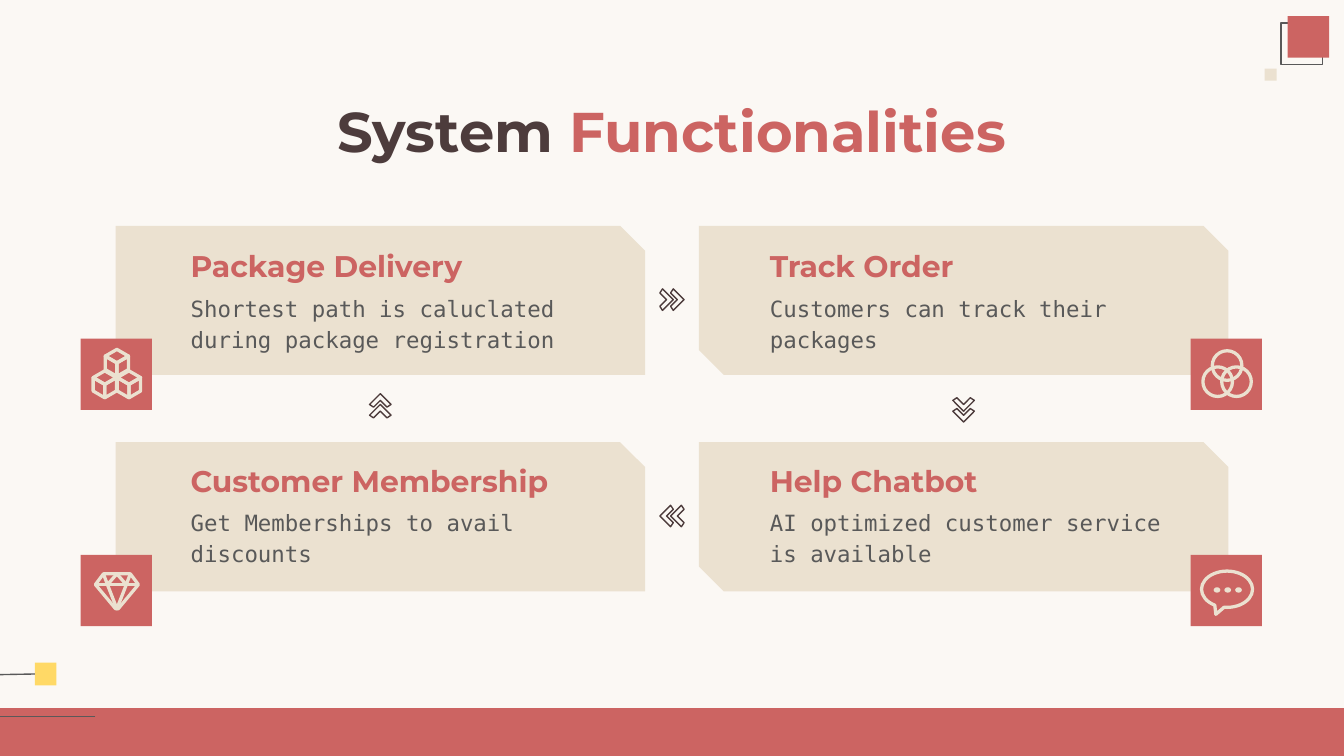
import math

from lxml import etree
from pptx import Presentation
from pptx.dml.color import RGBColor
from pptx.enum.shapes import MSO_CONNECTOR, MSO_SHAPE
from pptx.enum.text import MSO_ANCHOR, PP_ALIGN
from pptx.oxml.ns import qn
from pptx.util import Inches, Pt

RECT, OVAL = MSO_SHAPE.RECTANGLE, MSO_SHAPE.OVAL
SNIPPED, CALLOUT = MSO_SHAPE.SNIP_2_DIAG_RECTANGLE, MSO_SHAPE.OVAL_CALLOUT
STRAIGHT = MSO_CONNECTOR.STRAIGHT
TOP, MIDDLE, BOTTOM = MSO_ANCHOR.TOP, MSO_ANCHOR.MIDDLE, MSO_ANCHOR.BOTTOM
LEFT, CENTER = PP_ALIGN.LEFT, PP_ALIGN.CENTER

WIDTH, HEIGHT = 10, 5.625
CREAM, SAND, RED, BROWN, GRAY, YELLOW = (
    "FBF8F4", "EBE1D0", "CC6462", "4D3C3C", "595959", "FFD966")
HEADING_FONT, BODY_FONT = "Montserrat", "DejaVu Sans Mono"

CARD_LEFTS, CARD_TOPS = (0.86, 5.2), (1.68, 3.29)
CARD_WIDTH, CARD_HEIGHT = 3.94, 1.11
BADGE_LEFTS, BADGE_SIZE, BADGE_DROP = (0.6, 8.86), 0.53, 0.84
TEXT_LEFTS, BODY_WIDTHS = (1.32, 5.63), (3.48, 3.12)
HEADING_TOPS, BODY_TOPS = (1.82, 3.42), (2.07, 3.66)
ICON_WIDTH = 1.75

CARDS = [
    (0, 0, "Package Delivery", "Shortest path is caluclated during package registration"),
    (1, 0, "Track Order", "Customers can track their packages"),
    (1, 1, "Help Chatbot", "AI optimized customer service is available"),
    (0, 1, "Customer Membership", "Get Memberships to avail discounts"),
]
CHEVRONS = [(5, 2.23, 0), (7.17, 3.05, 1), (5, 3.84, 2), (2.83, 3.02, 3)]
CHEVRON = [(-0.07, -0.08), (-0.09, -0.05), (-0.04, 0),
           (-0.09, 0.05), (-0.07, 0.08), (0.01, 0)]


def color(value):
    return RGBColor.from_string(value)


def paint(shape, fill, line, width):
    shape.shadow.inherit = False
    if fill:
        shape.fill.solid()
        shape.fill.fore_color.rgb = color(fill)
    else:
        shape.fill.background()
    if line:
        shape.line.color.rgb = color(line)
        shape.line.width = Pt(width)
    else:
        shape.line.fill.background()
    return shape


def add_preset(page, kind, area, fill=None, line=None, width=0.75):
    shape = page.shapes.add_shape(kind, *map(Inches, area))
    return paint(shape, fill, line, width)


def add_outline(page, points, line, width, close=True):
    corners = [(Inches(x), Inches(y)) for x, y in points]
    builder = page.shapes.build_freeform(*corners[0])
    builder.add_line_segments(corners[1:], close=close)
    return paint(builder.convert_to_shape(), None, line, width)


def add_rule(page, start, end):
    rule = page.shapes.add_connector(
        STRAIGHT, *map(Inches, start), *map(Inches, end))
    rule.line.color.rgb = color(GRAY)
    rule.line.width = Pt(0.75)
    etree.SubElement(rule._element.spPr, qn("a:effectLst"))
    return rule


def add_text(page, area, spans, font, size, bold=False, anchor=TOP, align=LEFT):
    box = page.shapes.add_textbox(*map(Inches, area))
    frame = box.text_frame
    frame.word_wrap = True
    frame.vertical_anchor = anchor
    frame.margin_left = frame.margin_right = Inches(0.1)
    frame.margin_top = frame.margin_bottom = Inches(0.1)
    para = frame.paragraphs[0]
    para.alignment = align
    para.font.name = font
    para.font.size = Pt(size)
    para.font.bold = bold
    for text, tint in spans:
        span = para.add_run()
        span.text = text
        span.font.color.rgb = color(tint)
    return para


def add_decor(page):
    add_preset(page, RECT, (0, 5.27, WIDTH, HEIGHT - 5.27), RED)
    add_preset(page, RECT, (9.53, 0.17, 0.31, 0.31), line=GRAY)
    add_preset(page, RECT, (9.58, 0.12, 0.31, 0.31), RED)
    add_preset(page, RECT, (9.41, 0.51, 0.09, 0.09), SAND)
    marker = add_preset(page, RECT, (0.26, 4.93, 0.16, 0.17), YELLOW)
    add_rule(page, (0.26, 5.02), (0, 5.02)).begin_connect(marker, 1)
    add_rule(page, (0.71, 5.33), (0, 5.33))


def add_card(page, column, row, heading, body):
    left, top = CARD_LEFTS[column], CARD_TOPS[row]
    card = add_preset(page, SNIPPED, (left, top, CARD_WIDTH, CARD_HEIGHT), SAND)
    card.adjustments[0], card.adjustments[1] = 0, 0.167
    add_preset(page, RECT, (BADGE_LEFTS[column], top + BADGE_DROP,
                            BADGE_SIZE, BADGE_SIZE), RED)
    add_text(page, (TEXT_LEFTS[column], HEADING_TOPS[row], 3.57, 0.39),
             [(heading, RED)], HEADING_FONT, 16, True, BOTTOM)
    para = add_text(page, (TEXT_LEFTS[column], BODY_TOPS[row], BODY_WIDTHS[column], 0.7),
                    [(body, GRAY)], BODY_FONT, 12)
    para.line_spacing = 1.15
    para.space_after = Pt(16)


def add_cubes_icon(page):
    for x, y in [(0.87, 2.7), (0.78, 2.86), (0.96, 2.86)]:
        angles = [math.radians(60 * step - 90) for step in range(6)]
        corners = [(x + 0.1 * math.cos(a), y + 0.1 * math.sin(a)) for a in angles]
        for face in (0, 2, 4):
            sides = [corners[(face + step) % 6] for step in (-1, 0, 1)]
            add_outline(page, [(x, y)] + sides, SAND, ICON_WIDTH)


def add_circles_icon(page):
    for x, y in [(9.13, 2.72), (9.06, 2.84), (9.2, 2.84)]:
        add_preset(page, OVAL, (x - 0.11, y - 0.11, 0.22, 0.22),
                   line=SAND, width=ICON_WIDTH)


def add_diamond_icon(page):
    add_outline(page, [(0.77, 4.27), (0.97, 4.27), (1.03, 4.35), (0.88, 4.53),
                       (0.86, 4.53), (0.71, 4.35)], SAND, ICON_WIDTH)
    for strokes in (
        [(0.71, 4.35), (1.03, 4.35)],
        [(0.77, 4.27), (0.8, 4.35), (0.87, 4.27), (0.94, 4.35), (0.97, 4.27)],
        [(0.8, 4.35), (0.87, 4.53), (0.94, 4.35)],
    ):
        add_outline(page, strokes, SAND, ICON_WIDTH, close=False)


def add_chat_icon(page):
    bubble = add_preset(page, CALLOUT, (8.94, 4.25, 0.38, 0.27),
                        line=SAND, width=ICON_WIDTH)
    bubble.adjustments[0], bubble.adjustments[1] = -0.22, 0.69
    for step in range(3):
        add_preset(page, OVAL, (9.03 + 0.08 * step, 4.37, 0.05, 0.04), SAND)


def add_chevrons(page, x, y, turns):
    cosine, sine = math.cos(turns * math.pi / 2), math.sin(turns * math.pi / 2)
    for shift in (0, 0.08):
        points = [(x + (a + shift) * cosine - b * sine,
                   y + (a + shift) * sine + b * cosine) for a, b in CHEVRON]
        add_outline(page, points, BROWN, 0.75)


def main():
    deck = Presentation()
    deck.slide_width, deck.slide_height = Inches(WIDTH), Inches(HEIGHT)
    page = deck.slides.add_slide(deck.slide_layouts[6])
    page.background.fill.solid()
    page.background.fill.fore_color.rgb = color(CREAM)
    add_decor(page)
    add_text(page, (0.7, 0.65, 8.6, 0.63),
             [("System ", BROWN), ("Functionalities", RED)],
             HEADING_FONT, 30, True, MIDDLE, CENTER)
    for card in CARDS:
        add_card(page, *card)
    add_cubes_icon(page)
    add_circles_icon(page)
    add_diamond_icon(page)
    add_chat_icon(page)
    for chevrons in CHEVRONS:
        add_chevrons(page, *chevrons)
    deck.save("out.pptx")


if __name__ == "__main__":
    main()
